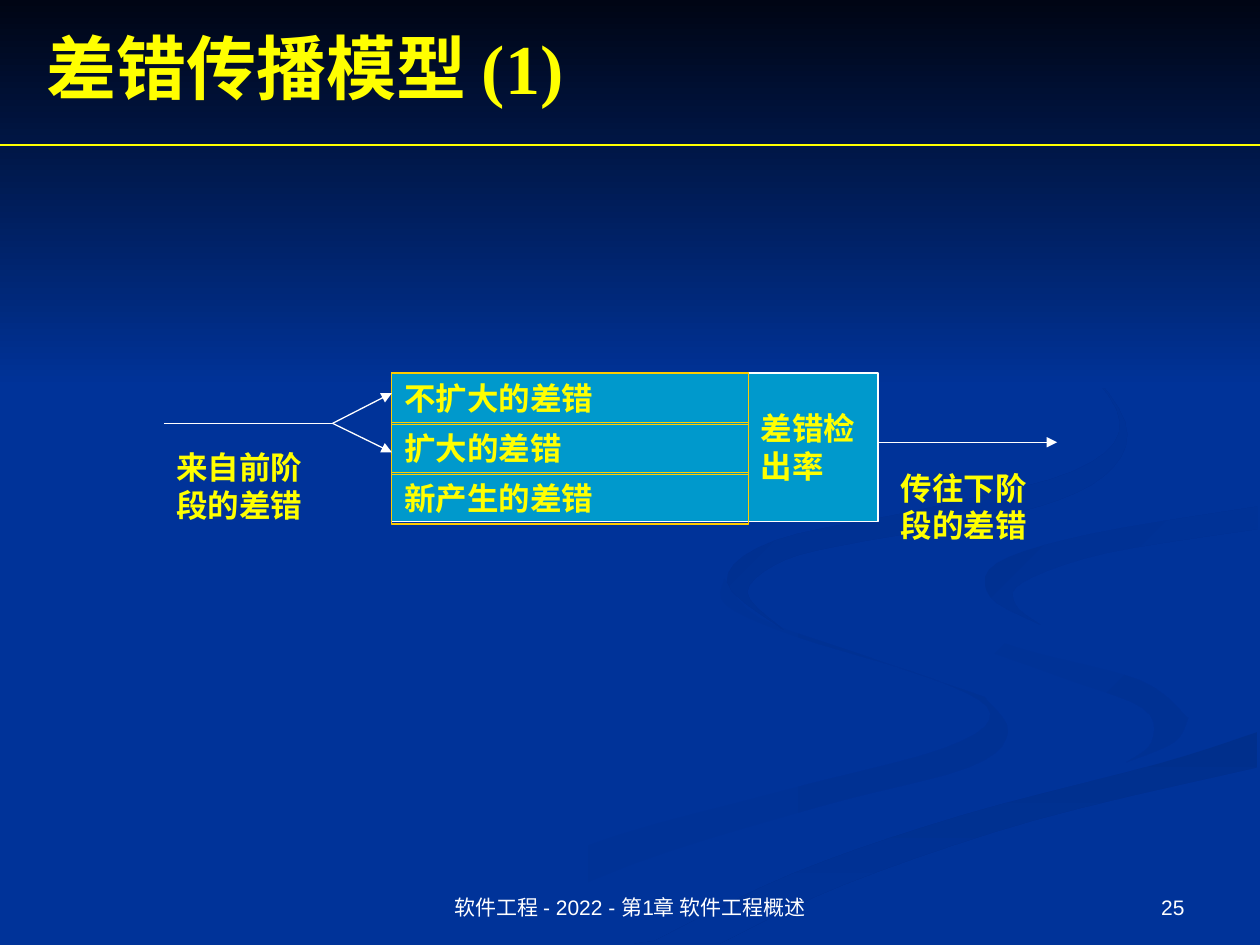
from dataclasses import dataclass
from typing import NamedTuple

from pptx import Presentation
from pptx.dml.color import RGBColor as RGB
from pptx.enum.shapes import MSO_CONNECTOR as Link, MSO_SHAPE as Shape
from pptx.enum.text import MSO_ANCHOR as Anchor, MSO_AUTO_SIZE as Fit, PP_ALIGN as Align
from pptx.oxml.ns import qn
from pptx.util import Inches, Pt
from lxml.etree import SubElement

Point = tuple[float, float]


@dataclass(frozen=True)
class Theme:
    back: str = "003399"
    box: str = "0099CC"
    gold: str = "FFCC00"
    bright: str = "FFFF00"
    white: str = "FFFFFF"
    serif: str = "Times New Roman"
    sans: str = "Arial"
    title: int = 40
    body: int = 18
    small: int = 12
    rule: float = 0.75


T = Theme()


class Band(NamedTuple):
    """A filled outline made of smooth edges joined end to end."""
    first: str
    last: str
    angle: int
    edges: list[list[Point]]


class Label(NamedTuple):
    text: str
    left: float
    top: float
    width: float
    height: float


class Arrow(NamedTuple):
    start: Point
    end: Point
    head: bool = True
    color: str = T.white


BANDS = [
    Band(T.back, "003193", 0, [
        [(7.81, 5.53), (6.82, 5.19), (6.02, 4.9), (5.75, 4.59)],
        [(5.75, 4.59), (5.76, 4.8), (6.31, 5.05), (7.41, 5.39), (7.86, 5.66), (7.49, 5.94),
         (6.16, 6.29), (4.58, 6.74), (3, 7.49)],
        [(3.61, 7.49), (4.99, 6.87), (6.51, 6.4), (7.69, 6.09), (8, 5.81), (7.81, 5.53)]]),
    Band(T.back, "003193", 45, [
        [(9.43, 5.7), (9.05, 5.4), (8.11, 5.15), (7.45, 4.9), (7.24, 4.64)],
        [(7.24, 4.64), (7.46, 5), (8.38, 5.36), (9.07, 5.62), (9.14, 5.89), (8.94, 6.05)],
        [(8.94, 6.05), (9.32, 5.89), (9.43, 5.7)]]),
    Band("002F8C", T.back, 90, [
        [(5.03, 7.49), (5.71, 7.49)],
        [(5.71, 7.49), (6.7, 7.02), (8.21, 6.51), (9.98, 6.09)],
        [(9.98, 5.81), (9.2, 6.06), (7.64, 6.47), (6.3, 6.93), (5.19, 7.47)]]),
    Band("003091", T.back, 45, [
        [(8.26, 4.96), (7.86, 4.74), (7.91, 4.47), (8.65, 4.24), (9.98, 4.02)],
        [(9.98, 4.2), (8.78, 4.39), (8.12, 4.62), (8.06, 4.8), (8.26, 4.96)]]),
    Band("002F8E", T.back, 45, [
        [(6.83, 4.3), (8.07, 4.07), (8.76, 3.78), (8.93, 3.35), (8.43, 2.75), (7.62, 2.33)],
        [(7.62, 2.33), (8.46, 2.79), (8.89, 3.35), (8.52, 3.74), (7.33, 4.04), (6.15, 4.29),
         (5.77, 4.62), (6.22, 5)],
        [(6.22, 5), (5.93, 4.7), (6.24, 4.44), (6.83, 4.3)]]),
    Band("000514", T.back, 90, [[(0, 0), (10, 0)], [(10, 3.08), (0, 3.08)]]),
]

LEFT, TOP, STEP = 3.11, 2.96, 0.395
SPLIT, RIGHT = 5.94, 6.97
FORK = (2.64, 3.36)

ROWS = [Label(text, LEFT, TOP + i * STEP, SPLIT - LEFT, 0.41)
        for i, text in enumerate(["不扩大的差错", "扩大的差错", "新产生的差错"])]
NOTES = [
    Label("差错检出率", SPLIT, 3.2, 1.02, 0.7),
    Label("来自前阶段的差错", 1.3, 3.51, 1.42, 0.7),
    Label("传往下阶段的差错", 7.05, 3.67, 1.42, 0.7),
]
ARROWS = [
    Arrow(FORK, (LEFT, 3.12)),
    Arrow(FORK, (LEFT, 3.59)),
    Arrow((1.3, 3.36), FORK, head=False),
    Arrow((RIGHT, 3.51), (8.39, 3.51)),
]


def smooth(edge: list[Point], steps: int = 5) -> list[Point]:
    """Run a Catmull-Rom curve through the points of an edge."""
    if len(edge) == 2:
        return edge
    ends = [edge[0], *edge, edge[-1]]
    curve = []
    for quad in zip(ends, ends[1:], ends[2:], ends[3:]):
        for i in range(steps):
            t = i / steps
            curve.append(tuple(
                b + t * (c - a + t * (2 * a - 5 * b + 4 * c - d
                                      + t * (3 * b - a - 3 * c + d))) / 2
                for a, b, c, d in zip(*quad)))
    return curve + [edge[-1]]


def draw_band(shapes, band: Band) -> None:
    points = [(Inches(x), Inches(y)) for edge in band.edges for x, y in smooth(edge)]
    path = shapes.build_freeform(*points[0])
    path.add_line_segments(points[1:], close=True)
    shape = path.convert_to_shape()
    shape.shadow.inherit = False
    shape.line.fill.background()
    shape.fill.gradient()
    shape.fill.gradient_angle = -band.angle % 360
    for stop, color in zip(shape.fill.gradient_stops, (band.first, band.last)):
        stop.color.rgb = RGB.from_string(color)


def write(shape, text: str, size: int, color: str, face: str, bold: bool = False,
          anchor=Anchor.TOP, align=Align.LEFT, fit=Fit.NONE) -> None:
    frame = shape.text_frame
    frame.word_wrap = True
    frame.auto_size = fit
    frame.vertical_anchor = anchor
    para = frame.paragraphs[0]
    para.text = text
    para.alignment = align
    font = para.font
    font.size, font.name, font.bold = Pt(size), face, bold
    font.color.rgb = RGB.from_string(color)


def add_text(shapes, label: Label, *style, **more) -> None:
    write(shapes.add_textbox(*map(Inches, label[1:])), label.text, *style, **more)


def add_box(shapes, label: Label, line: str, fill: str | None = None):
    box = shapes.add_shape(Shape.RECTANGLE, *map(Inches, label[1:]))
    box.shadow.inherit = False
    box.line.color.rgb = RGB.from_string(line)
    box.line.width = Pt(T.rule)
    if fill:
        box.fill.solid()
        box.fill.fore_color.rgb = RGB.from_string(fill)
    else:
        box.fill.background()
    return box


def draw_arrow(shapes, arrow: Arrow) -> None:
    line = shapes.add_connector(Link.STRAIGHT, *map(Inches, arrow.start + arrow.end))
    line.line.color.rgb = RGB.from_string(arrow.color)
    line.line.width = Pt(T.rule)
    props = line._element.spPr
    if arrow.head:
        SubElement(props.find(qn("a:ln")), qn("a:tailEnd"), type="triangle")
    SubElement(props, qn("a:effectLst"))


def main() -> None:
    deck = Presentation()
    deck.slide_width, deck.slide_height = Inches(10), Inches(7.5)
    slide = deck.slides.add_slide(deck.slide_layouts[6])
    slide.background.fill.solid()
    slide.background.fill.fore_color.rgb = RGB.from_string(T.back)
    shapes = slide.shapes

    for band in BANDS:
        draw_band(shapes, band)
    small = (T.small, T.white, T.sans)
    add_text(shapes, Label("25", 7.17, 6.83, 2.33, 0.52), *small,
             anchor=Anchor.BOTTOM, align=Align.RIGHT)
    add_text(shapes, Label("软件工程 - 2022 - 第1章 软件工程概述", 3.19, 6.83, 3.62, 0.52), *small,
             anchor=Anchor.BOTTOM, align=Align.CENTER)
    add_text(shapes, Label("差错传播模型 (1)", 0.27, 0.13, 9, 0.79),
             T.title, T.bright, T.serif, bold=True, anchor=Anchor.MIDDLE)
    draw_arrow(shapes, Arrow((0, 1.15), (10, 1.15), head=False, color=T.bright))

    body = (T.body, T.bright, T.serif, True)
    add_box(shapes, Label("", LEFT, TOP, RIGHT - LEFT, 1.18), T.white, T.box)
    for row in ROWS:
        write(add_box(shapes, row, T.gold), row.text, *body, fit=Fit.SHAPE_TO_FIT_TEXT)
    for note in NOTES:
        add_text(shapes, note, *body, fit=Fit.SHAPE_TO_FIT_TEXT)
    for arrow in ARROWS:
        draw_arrow(shapes, arrow)
    deck.save("out.pptx")


if __name__ == "__main__":
    main()
